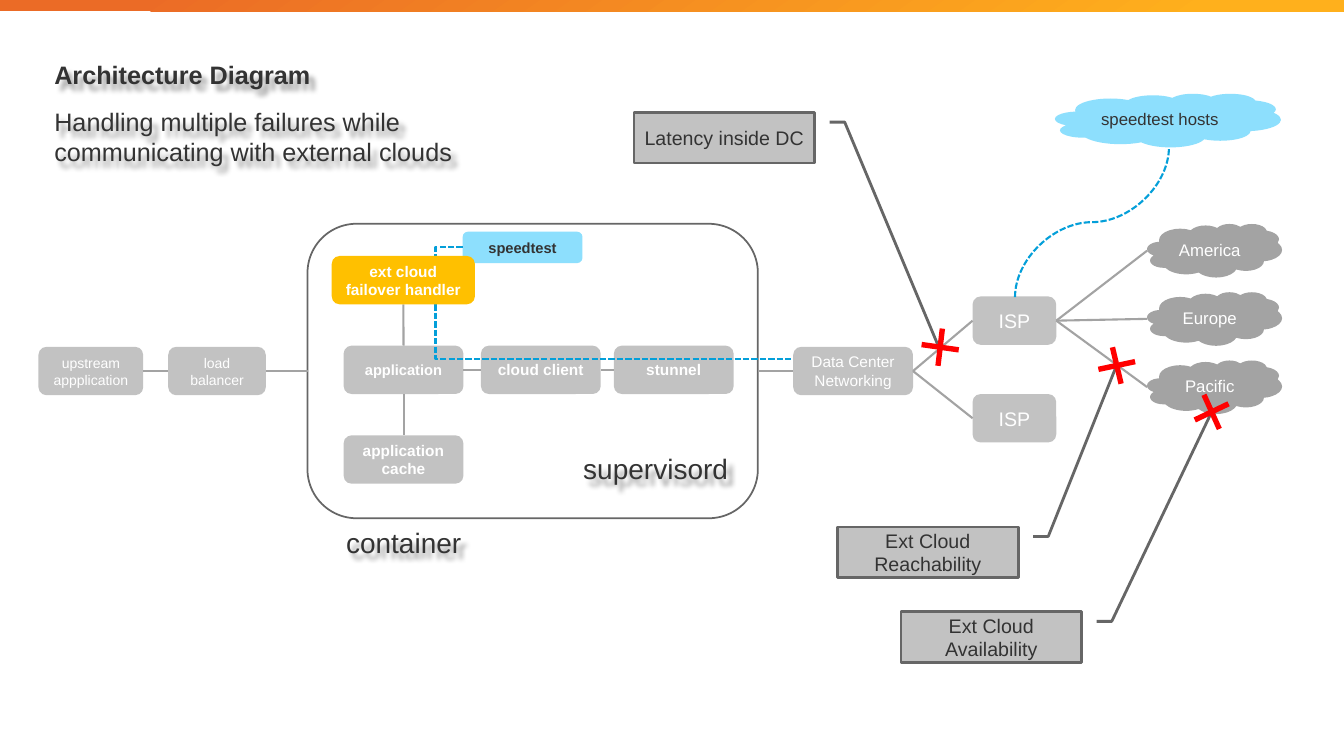
from dataclasses import dataclass
from typing import Any

import pptx
import pptx.dml.color
import pptx.enum.dml
import pptx.enum.shapes
import pptx.enum.text
import pptx.oxml
import pptx.oxml.ns
import pptx.util
from lxml import etree

Cm = pptx.util.Cm
Kind = pptx.enum.shapes.MSO_SHAPE
Link = pptx.enum.shapes.MSO_CONNECTOR
Align = pptx.enum.text.PP_ALIGN
Anchor = pptx.enum.text.MSO_ANCHOR


@dataclass(frozen=True)
class Theme:
    font: str = "Arial"
    dark: str = "333333"
    white: str = "FFFFFF"
    box: str = "C2C2C2"
    cloud: str = "A3A3A3"
    outline: str = "666666"
    sky: str = "8DDFFD"
    probe: str = "049FD9"
    amber: str = "FFC000"
    failure: str = "FF0000"
    bar_start: str = "EB6B26"
    bar_end: str = "FFB01C"
    tiny: float = 10
    compact: float = 10.5
    label: float = 11
    place: float = 12
    callout: float = 14
    heading: float = 18
    caption: float = 20
    link_width: float = 1.5


THEME = Theme()


@dataclass(frozen=True)
class Node:
    text: str
    left: float
    top: float
    width: float = 3.02
    height: float = 1.22
    size: float = THEME.label
    bold: bool = False
    fill: str | None = THEME.box
    color: str = THEME.white
    kind: Any = Kind.ROUNDED_RECTANGLE
    line: str | None = None
    line_width: float = 1.25

    def anchor(self, across: float, down: float) -> tuple[float, float]:
        return self.left + self.width * across, self.top + self.height * down


@dataclass(frozen=True)
class Callout:
    node: Node
    tip_down: float
    tip_across: float


@dataclass(frozen=True)
class Cross:
    left: float
    top: float
    rotation: float


@dataclass(frozen=True)
class Caption:
    lines: tuple[tuple[str, bool], ...]
    left: float
    top: float
    width: float
    height: float
    size: float = THEME.caption
    align: Any = Align.CENTER
    space_after: float = 0


def cloud(text: str, left: float, top: float, width: float = 3.4,
          fill: str = THEME.cloud, color: str = THEME.white) -> Node:
    return Node(text, left, top, width, 1.35, THEME.place,
                fill=fill, color=color, kind=Kind.CLOUD)


def callout(text: str, left: float, top: float, tip_down: float, tip_across: float) -> Callout:
    node = Node(text, left, top, 4.55, 1.27, THEME.callout, color=THEME.dark,
                kind=Kind.LINE_CALLOUT_2, line=THEME.outline, line_width=2)
    return Callout(node, tip_down, tip_across)


ROW = 8.74
NODES = {
    "container": Node("", 7.75, 5.64, 11.35, 7.42, fill=None, line=THEME.outline),
    "application": Node("application", 8.66, 8.71, size=THEME.compact, bold=True),
    "client": Node("cloud client", 12.12, 8.71, bold=True),
    "stunnel": Node("stunnel", 15.47, 8.71, bold=True),
    "cache": Node("application\ncache", 8.66, 10.97, bold=True),
    "network": Node("Data Center\nNetworking", 19.99, ROW),
    "isp_top": Node("ISP", 24.51, 7.47, 2.11, size=THEME.callout),
    "isp_bottom": Node("ISP", 24.51, 9.93, 2.11, size=THEME.callout),
    "balancer": Node("load balancer", 4.24, ROW, 2.46, size=THEME.tiny),
    "upstream": Node("upstream appplication", 0.97, ROW, 2.64, size=THEME.tiny),
    "speedtest": Node("speedtest", 11.66, 5.84, height=0.79, size=THEME.compact,
                      bold=True, fill=THEME.sky, color=THEME.dark),
    "hosts": cloud("speedtest hosts", 26.59, 2.36, 5.69, THEME.sky, THEME.dark),
}
NODES |= {name: cloud(name, 28.91, 5.64 + 1.72 * row)
          for row, name in enumerate(("America", "Europe", "Pacific"))}
HANDLER = Node("ext cloud failover handler", 8.36, 6.45, 3.61, bold=True, fill=THEME.amber)

ACROSS = (
    ("upstream", "balancer"), ("balancer", "container"), ("application", "client"),
    ("client", "stunnel"), ("container", "network"), ("network", "isp_top"),
    ("network", "isp_bottom"), ("isp_top", "America"), ("isp_top", "Europe"),
    ("isp_top", "Pacific"),
)
DOWN = ((HANDLER, NODES["application"]), (NODES["application"], NODES["cache"]))
CALLOUTS = (
    callout("Latency inside DC", 15.98, 2.84, 4.696, -0.693),
    callout("Ext Cloud Reachability", 21.11, 13.28, -3.219, -0.547),
    callout("Ext Cloud Availability", 22.71, 15.42, -4.01, -0.726),
)
CROSSES = (Cross(23.06, 8.1, 322.4), Cross(27.51, 8.56, 302.4), Cross(29.9, 9.73, 20.1))
CAPTIONS = (
    Caption((("Architecture Diagram", True),
             ("Handling multiple failures while communicating with external clouds", False)),
            1.12, 1.37, 12.22, 3, THEME.heading, Align.LEFT, 12),
    Caption((("supervisord", False),), 14.25, 11.25, 4.55, 1.12),
    Caption((("container", False),), 7.9, 13.11, 4.55, 1.12),
)


def rgb(value: str) -> Any:
    return pptx.dml.color.RGBColor.from_string(value)


def apply(target: Any, values: dict[str, Any]) -> None:
    for name, value in values.items():
        setattr(target, name, value)


def write(para: Any, text: str, size: float, bold: bool, color: str, align: Any) -> None:
    para.alignment = align
    span = para.add_run()
    span.text = text
    apply(span.font, {"name": THEME.font, "size": pptx.util.Pt(size), "bold": bold})
    span.font.color.rgb = rgb(color)


def paint(shape: Any, fill: str | None, line: str | None = None, width: float = 1) -> None:
    shape.shadow.inherit = False
    if fill:
        shape.fill.solid()
        shape.fill.fore_color.rgb = rgb(fill)
    else:
        shape.fill.background()
    if line:
        shape.line.color.rgb = rgb(line)
        shape.line.width = pptx.util.Pt(width)
    else:
        shape.line.fill.background()


def draw_node(page: Any, node: Node) -> Any:
    shape = page.shapes.add_shape(node.kind, Cm(node.left), Cm(node.top),
                                  Cm(node.width), Cm(node.height))
    paint(shape, node.fill, node.line, node.line_width)
    frame = shape.text_frame
    apply(frame, {"word_wrap": True, "vertical_anchor": Anchor.MIDDLE})
    for index, text in enumerate(node.text.split("\n") if node.text else ()):
        para = frame.add_paragraph() if index else frame.paragraphs[0]
        write(para, text, node.size, node.bold, node.color, Align.CENTER)
    return shape


def draw_callout(page: Any, item: Callout) -> None:
    shape = draw_node(page, item.node)
    shape.element.spPr.xfrm.set("flipH", "1")
    for index, value in enumerate((0.188, -0.083, 0.188, -0.167, item.tip_down, item.tip_across)):
        shape.adjustments[index] = value


def draw_cross(page: Any, cross: Cross) -> None:
    shape = page.shapes.add_shape(Kind.MATH_MULTIPLY, Cm(cross.left), Cm(cross.top),
                                  Cm(1.27), Cm(1.3))
    paint(shape, THEME.failure)
    shape.adjustments[0] = 0.107
    shape.rotation = cross.rotation


def draw_link(page: Any, start: tuple[float, float], end: tuple[float, float],
              kind: Any = Link.STRAIGHT, color: str = THEME.cloud) -> Any:
    link = page.shapes.add_connector(kind, *(Cm(value) for value in start + end))
    link.line.color.rgb = rgb(color)
    link.line.width = pptx.util.Pt(THEME.link_width)
    etree.SubElement(link.element.spPr, pptx.oxml.ns.qn("a:effectLst"))
    return link


def draw_probe(page: Any, start: tuple[float, float], end: tuple[float, float],
               kind: Any, bend: float, rotation: float = 0) -> None:
    link = draw_link(page, start, end, kind, THEME.probe)
    link.line.dash_style = pptx.enum.dml.MSO_LINE.SQUARE_DOT
    link.rotation = rotation
    guides = link.element.spPr.prstGeom.get_or_add_avLst()
    etree.SubElement(guides, pptx.oxml.ns.qn("a:gd"), name="adj1", fmla=f"val {round(bend * 100000)}")


def draw_caption(page: Any, caption: Caption) -> None:
    box = page.shapes.add_textbox(Cm(caption.left), Cm(caption.top),
                                  Cm(caption.width), Cm(caption.height))
    apply(box.text_frame, {"word_wrap": True,
                           "auto_size": pptx.enum.text.MSO_AUTO_SIZE.SHAPE_TO_FIT_TEXT})
    for index, (text, bold) in enumerate(caption.lines):
        para = box.text_frame.add_paragraph() if index else box.text_frame.paragraphs[0]
        para.space_after = pptx.util.Pt(caption.space_after)
        write(para, text, caption.size, bold, THEME.dark, caption.align)
    namespace = pptx.oxml.ns.nsdecls("a")
    box.element.spPr.append(pptx.oxml.parse_xml(
        f'<a:effectLst {namespace}><a:outerShdw blurRad="{Cm(0.13)}" dist="{Cm(0.2)}" '
        'dir="3000000" algn="tl" rotWithShape="0"><a:srgbClr val="000000">'
        '<a:alpha val="40000"/></a:srgbClr></a:outerShdw></a:effectLst>'))


def draw_bar(page: Any, width: float) -> None:
    bar = page.shapes.add_shape(Kind.RECTANGLE, 0, 0, Cm(width), Cm(0.28))
    paint(bar, None)
    bar.fill.gradient()
    bar.fill.gradient_angle = 305
    colors = ((0.1, THEME.bar_start), (0.9, THEME.bar_end))
    for stop, (position, color) in zip(bar.fill.gradient_stops, colors):
        stop.position = position
        stop.color.rgb = rgb(color)


def main() -> None:
    deck = pptx.Presentation()
    apply(deck, {"slide_width": Cm(33.87), "slide_height": Cm(19.05)})
    page = deck.slides.add_slide(deck.slide_layouts[6])
    draw_bar(page, 33.87)
    for node in NODES.values():
        draw_node(page, node)
    for first, second in ACROSS:
        draw_link(page, NODES[first].anchor(1, 0.5), NODES[second].anchor(0, 0.5))
    for upper, lower in DOWN:
        draw_link(page, upper.anchor(0.5, 1), lower.anchor(0.5, 0))
    draw_probe(page, NODES["speedtest"].anchor(0, 0.5), (19.99, 9.04), Link.ELBOW, -0.082)
    draw_probe(page, (29.41, 7.54), (25.63, 3.66), Link.CURVE, 0.5, 90)
    draw_node(page, HANDLER)
    for item in CALLOUTS:
        draw_callout(page, item)
    for cross in CROSSES:
        draw_cross(page, cross)
    for caption in CAPTIONS:
        draw_caption(page, caption)
    deck.save("out.pptx")


if __name__ == "__main__":
    main()
